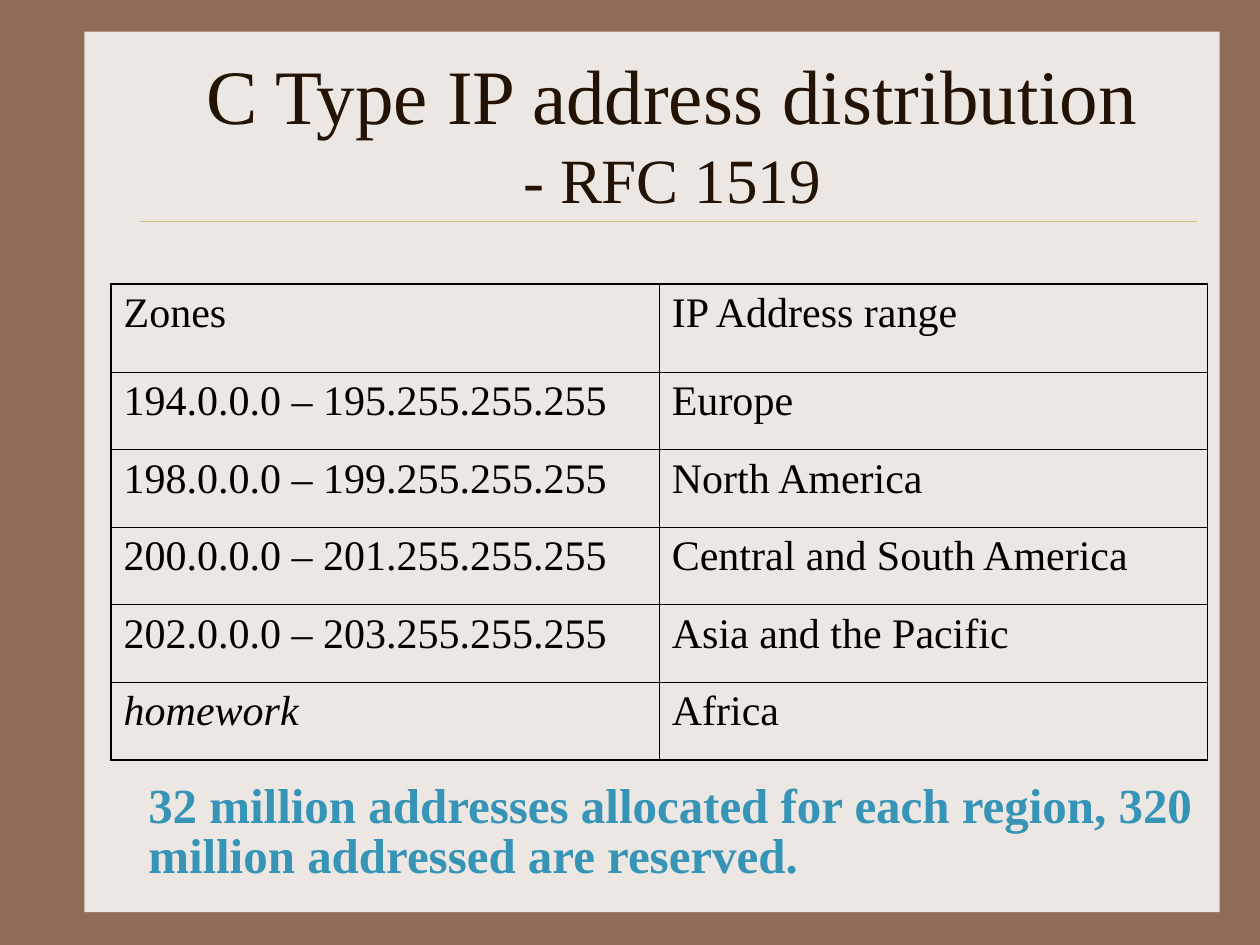
from dataclasses import dataclass

from lxml.etree import SubElement
from pptx import Presentation
from pptx.dml.color import RGBColor
from pptx.enum.shapes import MSO_CONNECTOR, MSO_SHAPE
from pptx.enum.text import MSO_ANCHOR, PP_ALIGN
from pptx.oxml.ns import qn
from pptx.util import Cm, Pt


@dataclass(frozen=True)
class Theme:
    font: str = "Times New Roman"
    frame: str = "906D58"
    panel: str = "EDE7E3"
    rule: str = "CBBD83"
    title: str = "221304"
    ink: str = "000000"
    accent: str = "3694B6"
    title_size: float = 44
    subtitle_size: float = 36
    table_size: float = 24
    note_size: float = 28
    rule_width: float = 0.25
    inner_border: float = 0.45
    outer_border: float = 1.08


THEME = Theme()

TITLE = "C Type IP address distribution"
SUBTITLE = "- RFC 1519"
ZONES = [
    ("Zones", "IP Address range"),
    ("194.0.0.0 – 195.255.255.255", "Europe"),
    ("198.0.0.0 – 199.255.255.255", "North America"),
    ("200.0.0.0 – 201.255.255.255", "Central and South America"),
    ("202.0.0.0 – 203.255.255.255", "Asia and the Pacific"),
    ("homework", "Africa"),
]
ITALIC_ENTRIES = {"homework"}
NOTE = "32 million addresses allocated for each region, 320 million addressed are reserved."

TABLE_LEFT, TABLE_TOP, TABLE_WIDTH, TABLE_HEIGHT = 2.24, 5.72, 22.1, 9.6
HEADER_HEIGHT = 1.78


def color(value):
    return RGBColor.from_string(value)


def add_run(paragraph, text, size, ink, bold=False, italic=False):
    run = paragraph.add_run()
    run.text = text
    run.font.name = THEME.font
    run.font.size = Pt(size)
    run.font.bold = bold
    run.font.italic = italic
    run.font.color.rgb = color(ink)


def add_text_frame(slide, left, top, width, height, anchor):
    frame = slide.shapes.add_textbox(Cm(left), Cm(top), Cm(width), Cm(height)).text_frame
    frame.word_wrap = True
    frame.vertical_anchor = anchor
    return frame


def add_background(slide):
    slide.background.fill.solid()
    slide.background.fill.fore_color.rgb = color(THEME.frame)
    panel = slide.shapes.add_shape(MSO_SHAPE.RECTANGLE, Cm(1.7), Cm(0.64), Cm(22.89), Cm(17.75))
    panel.shadow.inherit = False
    panel.fill.solid()
    panel.fill.fore_color.rgb = color(THEME.panel)
    panel.line.fill.background()

    rule = slide.shapes.add_connector(MSO_CONNECTOR.STRAIGHT, Cm(2.82), Cm(4.45), Cm(24.13), Cm(4.45))
    rule.line.color.rgb = color(THEME.rule)
    rule.line.width = Pt(THEME.rule_width)
    SubElement(rule._element.spPr, qn("a:effectLst"))


def add_title(slide):
    heading = add_text_frame(slide, 2.97, 1.07, 21.16, 3.18, MSO_ANCHOR.MIDDLE).paragraphs[0]
    heading.alignment = PP_ALIGN.CENTER
    add_run(heading, TITLE, THEME.title_size, THEME.title)
    heading.add_line_break()
    add_run(heading, SUBTITLE, THEME.subtitle_size, THEME.title)


def set_borders(cell, outer_edges):
    properties = cell._tc.get_or_add_tcPr()
    for edge in ("L", "R", "T", "B"):
        width = THEME.outer_border if outer_edges[edge] else THEME.inner_border
        border = SubElement(properties, qn(f"a:ln{edge}"), w=str(Pt(width)))
        fill = SubElement(border, qn("a:solidFill"))
        SubElement(fill, qn("a:srgbClr"), val=THEME.ink)


def add_zone_table(slide):
    row_count, column_count = len(ZONES), len(ZONES[0])
    zone_table = slide.shapes.add_table(
        row_count, column_count,
        Cm(TABLE_LEFT), Cm(TABLE_TOP), Cm(TABLE_WIDTH), Cm(TABLE_HEIGHT),
    ).table
    zone_table.first_row = False
    zone_table.horz_banding = False
    for column in zone_table.columns:
        column.width = Cm(TABLE_WIDTH / column_count)
    body_height = (TABLE_HEIGHT - HEADER_HEIGHT) / (row_count - 1)
    for r, entries in enumerate(ZONES):
        zone_table.rows[r].height = Cm(body_height if r else HEADER_HEIGHT)
        for c, entry in enumerate(entries):
            cell = zone_table.cell(r, c)
            set_borders(cell, {
                "L": c == 0,
                "R": c == column_count - 1,
                "T": r == 0,
                "B": r == row_count - 1,
            })
            cell.fill.background()
            add_run(cell.text_frame.paragraphs[0], entry, THEME.table_size, THEME.ink,
                    italic=entry in ITALIC_ENTRIES)


def add_note(slide):
    note = add_text_frame(slide, 2.74, 15.67, 21.59, 2.29, MSO_ANCHOR.TOP).paragraphs[0]
    note.line_spacing = 0.85
    add_run(note, NOTE, THEME.note_size, THEME.accent, bold=True)


def main():
    presentation = Presentation()
    presentation.slide_width = Cm(25.4)
    presentation.slide_height = Cm(19.05)
    slide = presentation.slides.add_slide(presentation.slide_layouts[6])
    add_background(slide)
    add_title(slide)
    add_zone_table(slide)
    add_note(slide)
    presentation.save("out.pptx")


if __name__ == "__main__":
    main()
